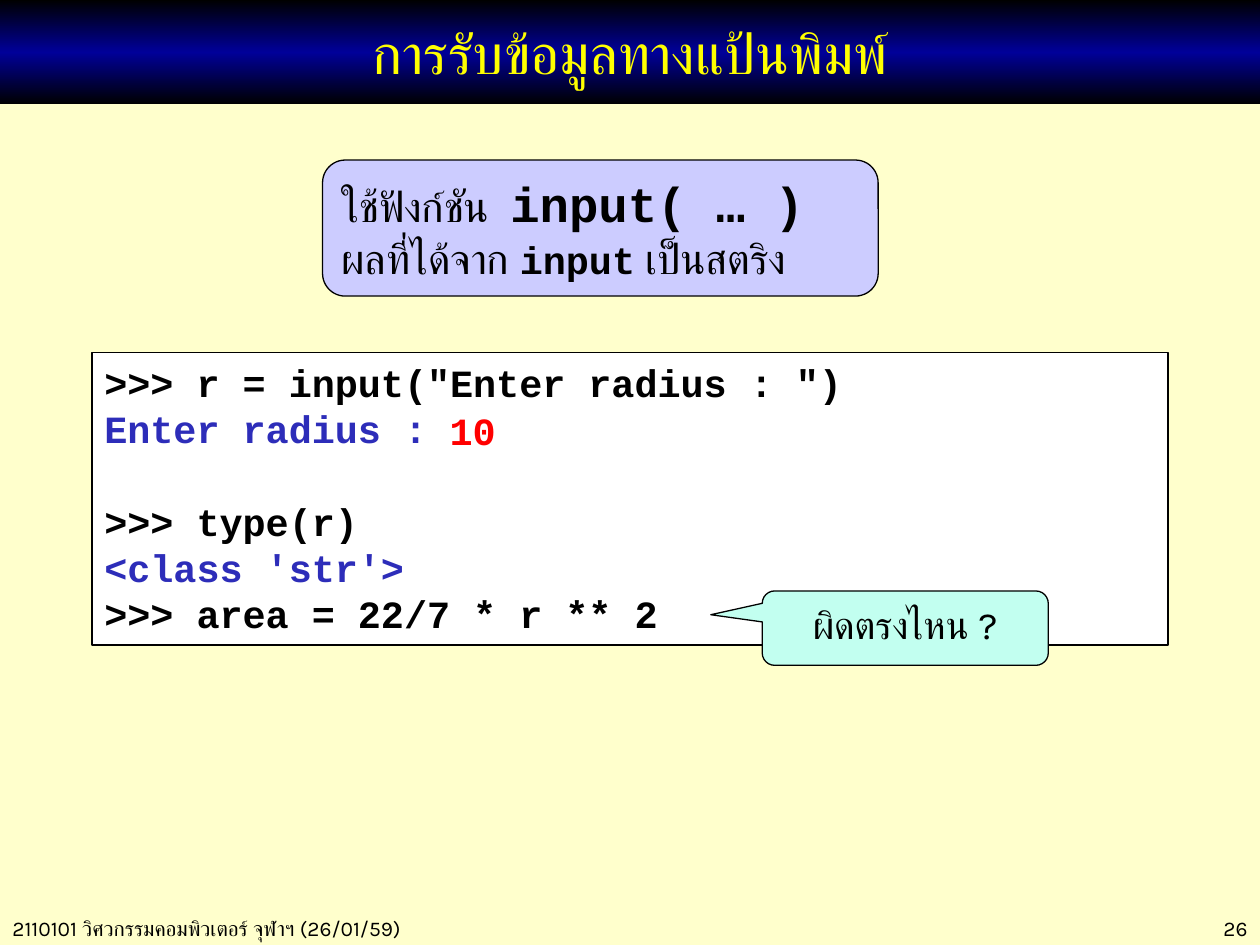
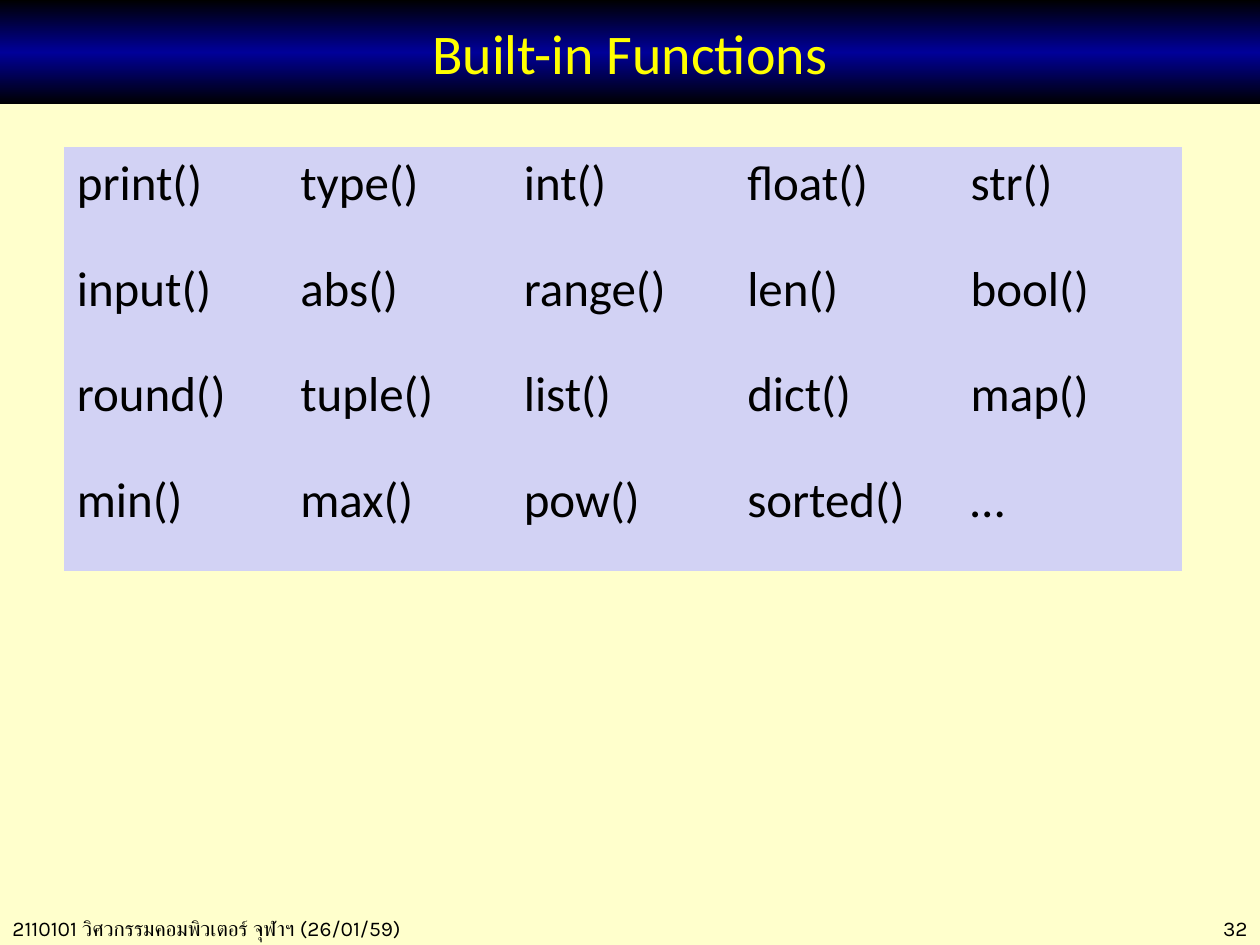
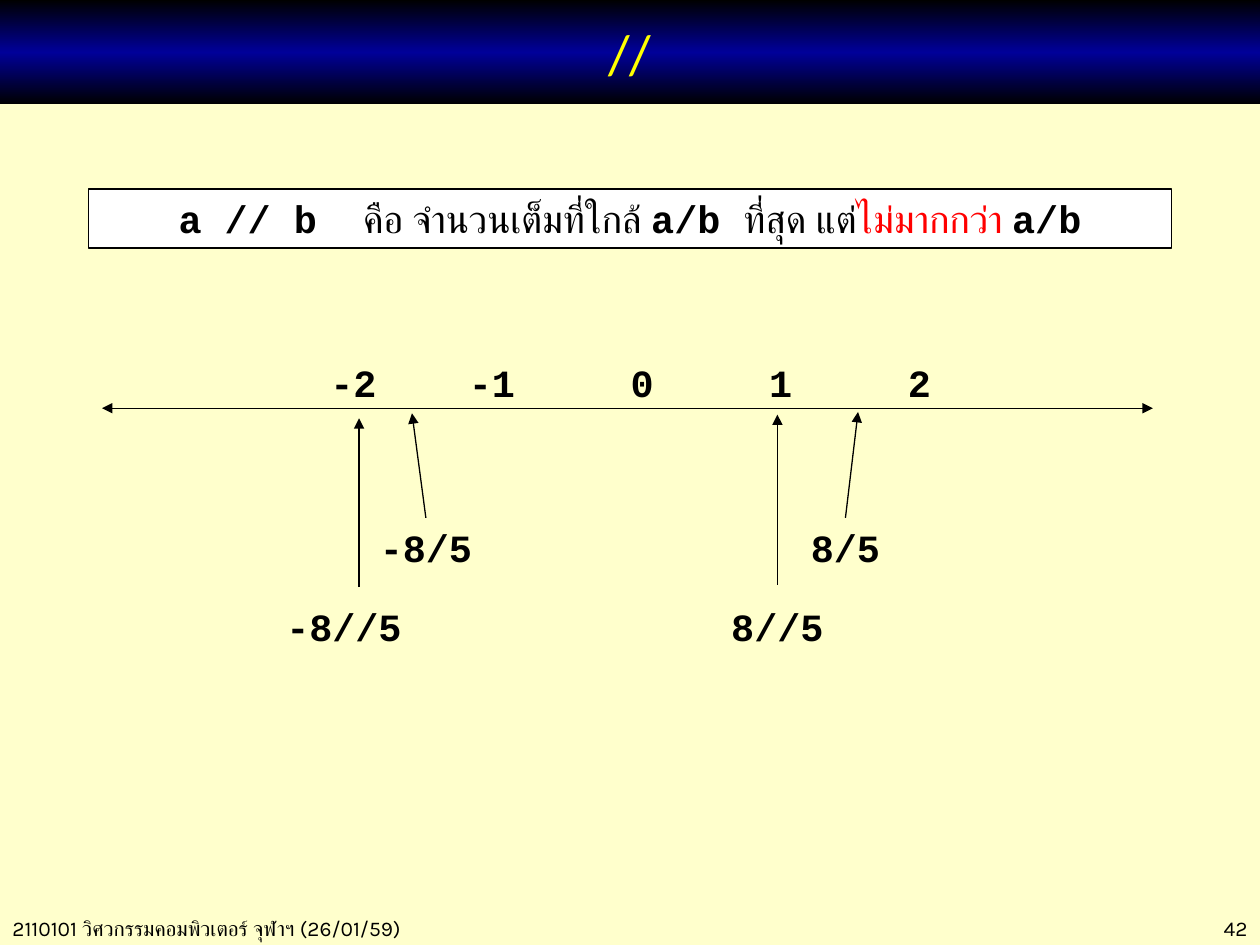
from pptx import Presentation
from pptx.dml.color import RGBColor
from pptx.enum.shapes import MSO_CONNECTOR, MSO_SHAPE
from pptx.enum.text import MSO_ANCHOR, PP_ALIGN
from pptx.oxml import parse_xml
from pptx.oxml.ns import nsdecls, qn
from pptx.util import Inches, Pt
from lxml import etree

RECT, ROUND = MSO_SHAPE.RECTANGLE, MSO_SHAPE.ROUNDED_RECTANGLE
CALL = MSO_SHAPE.ROUNDED_RECTANGULAR_CALLOUT
LINE = MSO_CONNECTOR.STRAIGHT
LEFT, MID, RIGHT = PP_ALIGN.LEFT, PP_ALIGN.CENTER, PP_ALIGN.RIGHT
TOP, HALF = MSO_ANCHOR.TOP, MSO_ANCHOR.MIDDLE

# The slide is a grid of 10 columns and 7.5 rows
WIDE, HIGH = Inches(10), Inches(7.5)
UNIT = WIDE / 10

HUE = {"page": "FFFFCC", "ink": "000000", "band": "000099", "title": "FFFF00",
       "paper": "FFFFFF", "note": "CCCCFF", "mint": "C2FFF0", "cell": "D2D2F4",
       "echo": "2D2DB9", "red": "FF0000"}
PLAIN = "{2D5ABB26-0587-4C30-8999-92F81FD0307C}"

# Text styles: font, size, weight, colour
CODE = {"name": "Courier New", "size": 22, "bold": True, "hue": "ink"}
ECHO = {**CODE, "hue": "echo"}
TYPED = {**CODE, "hue": "red"}
THAI = {**CODE, "bold": False}
WARN = {**THAI, "hue": "red"}
BIG = {**CODE, "size": 28}
BODY = {"name": "Karla", "size": 24, "bold": False, "hue": "ink"}
ASK = {**BODY, "size": 22}
FOOT = {**BODY, "size": 12}
HEAD = {"name": "Calibri", "size": 32, "bold": False, "hue": "title"}
CELL = {**HEAD, "size": 28, "hue": "ink"}

# Content: each text is a list of paragraphs, each a list of (words, style)
NOTE = "2110101 วิศวกรรมคอมพิวเตอร์ จุฬาฯ (26/01/59)"
USE = [[("ใช้ฟังก์ชัน  ", BODY), ("input( … )", BIG)],
       [("ผลที่ได้จาก ", BODY), ("input", CODE), (" เป็นสตริง", BODY)]]
SHELL = [[('>>> r = input("Enter radius : ")', CODE)],
         [("Enter radius :", ECHO)],
         [(">>> type(r)", CODE)],
         [("<class 'str'>", ECHO)],
         [(">>> area = 22/7 * r ** 2", CODE)]]
FUNCS = ["print() type() int() float() str()",
         "input() abs() range() len() bool()",
         "round() tuple() list() dict() map()",
         "min() max() pow() sorted() …"]
RULE = [[("a // b  ", CODE), ("คือ จำนวนเต็มที่ใกล้ ", THAI), ("a/b ", CODE),
         ("ที่สุด แต่", THAI), ("ไม่มากกว่า ", WARN), ("a/b", CODE)]]
TICKS = range(-2, 3)
# Exact quotients: words, middle of label, arrow tip
EXACT = [("8/5", 6.71, (6.81, 3.27)), ("-8/5", 3.38, (3.27, 3.28))]
# Floor quotients: words, middle of label, arrow column, foot, tip
FLOOR = [("-8//5", 2.73, 2.85, 4.66, 3.32), ("8//5", 6.17, 6.17, 4.64, 3.29)]


def rgb(key):
    return RGBColor.from_string(HUE[key])


def grid(*nums):
    return [round(n * UNIT) for n in nums]


def write(frame, paras, align=LEFT, anchor=TOP):
    frame.word_wrap = True
    frame.vertical_anchor = anchor
    for i, runs in enumerate(paras):
        para = frame.paragraphs[0] if i == 0 else frame.add_paragraph()
        para.alignment = align
        for words, style in runs:
            run = para.add_run()
            run.text = words
            look = {"name": style["name"], "size": Pt(style["size"]),
                    "bold": style["bold"]}
            for key, val in look.items():
                setattr(run.font, key, val)
            run.font.color.rgb = rgb(style["hue"])


def label(slide, at, words, style, align=LEFT):
    box = slide.shapes.add_textbox(*grid(*at))
    write(box.text_frame, [[(words, style)]], align)
    return box


def panel(slide, kind, at, hue, paras, align=LEFT, anchor=TOP):
    box = slide.shapes.add_shape(kind, *grid(*at))
    box.shadow.inherit = False
    box.fill.solid()
    box.fill.fore_color.rgb = rgb(hue)
    box.line.color.rgb = rgb("ink")
    box.line.width = Pt(0.75)
    write(box.text_frame, paras, align, anchor)
    return box


def arrow(slide, start, end, tips=("tailEnd",)):
    wire = slide.shapes.add_connector(LINE, *grid(*start, *end))
    wire.line.color.rgb = rgb("ink")
    wire.line.width = Pt(0.75)
    for tip in tips:
        etree.SubElement(wire.line._get_or_add_ln(), qn("a:" + tip), type="triangle")
    etree.SubElement(wire._element.spPr, qn("a:effectLst"))
    return wire


def base(deck, title, page):
    """Add a slide with the shared background, title band and footer."""
    slide = deck.slides.add_slide(deck.slide_layouts[6])
    slide.background.fill.solid()
    slide.background.fill.fore_color.rgb = rgb("page")
    label(slide, (0, 7.22, 3.9, 0.3), NOTE, FOOT)
    label(slide, (8.62, 7.22, 1.38, 0.3), str(page), FOOT, RIGHT)
    band = panel(slide, RECT, (0, 0, 10, 0.83), "band", [[(title, HEAD)]], MID, HALF)
    band.line.fill.background()
    stops = "".join(f'<a:gs pos="{pos}"><a:srgbClr val="{HUE[key]}"/></a:gs>'
                    for pos, key in ((0, "ink"), (50000, "band"), (100000, "ink")))
    props = band._element.spPr
    props.replace(props.find(qn("a:solidFill")), parse_xml(
        f'<a:gradFill {nsdecls("a")}><a:gsLst>{stops}</a:gsLst>'
        '<a:lin ang="5400000" scaled="0"/></a:gradFill>'))
    return slide


def keyboard(deck):
    slide = base(deck, "การรับข้อมูลทางแป้นพิมพ์", 26)
    shell = panel(slide, RECT, (0.73, 2.8, 8.54, 2.32), "paper", SHELL)
    shell.text_frame.paragraphs[2].space_before = Pt(26.4)
    panel(slide, ROUND, (2.56, 1.27, 4.41, 1.08), "note", USE, anchor=HALF)
    ask = panel(slide, CALL, (6.05, 4.69, 2.27, 0.59), "mint",
                [[("ผิดตรงไหน ?", ASK)]], MID)
    ask.adjustments[0], ask.adjustments[1] = -0.68, -0.18
    label(slide, (3.47, 3.18, 0.62, 0.47), "10", TYPED)


def builtins(deck):
    slide = base(deck, "Built-in Functions", 32)
    rows = [line.split() for line in FUNCS]
    frame = slide.shapes.add_table(len(rows), len(rows[0]),
                                   *grid(0.51, 1.17, 8.87, 3.36))
    table = frame.table
    table.first_row = table.horz_banding = False
    table._tbl.tblPr.find(qn("a:tableStyleId")).text = PLAIN
    for r, row in enumerate(rows):
        for c, words in enumerate(row):
            cell = table.cell(r, c)
            cell.fill.solid()
            cell.fill.fore_color.rgb = rgb("cell")
            write(cell.text_frame, [[(words, CELL)]])


def floor(deck):
    slide = base(deck, "//", 42)
    panel(slide, RECT, (0.7, 1.5, 8.6, 0.47), "paper", RULE, MID)

    # Number line, with its numbers on evenly spaced right tabs
    arrow(slide, (0.81, 3.24), (9.15, 3.24), ("headEnd", "tailEnd"))
    scale = label(slide, (2.41, 2.8, 5.18, 0.47),
                  "".join(f"\t{n}" for n in TICKS), CODE)
    props = scale.text_frame.paragraphs[0]._p.get_or_add_pPr()
    tabs = etree.SubElement(props, qn("a:tabLst"))
    for i in range(len(TICKS)):
        etree.SubElement(tabs, qn("a:tab"), pos=str(grid(0.48 + 1.1 * i)[0]), algn="r")

    # Quotients and the points they mark
    for words, mid, tip in EXACT:
        box = label(slide, (mid - 0.54, 4.11, 1.08, 0.47), words, CODE, MID)
        arrow(slide, (mid, 4.11), tip).begin_connect(box, 0)
    for words, mid, col, foot, tip in FLOOR:
        label(slide, (mid - 0.73, 4.74, 1.46, 0.47), words, CODE, MID)
        arrow(slide, (col, foot), (col, tip))


def main():
    deck = Presentation()
    deck.slide_width, deck.slide_height = WIDE, HIGH
    for make in (keyboard, builtins, floor):
        make(deck)
    deck.save("out.pptx")


if __name__ == "__main__":
    main()
